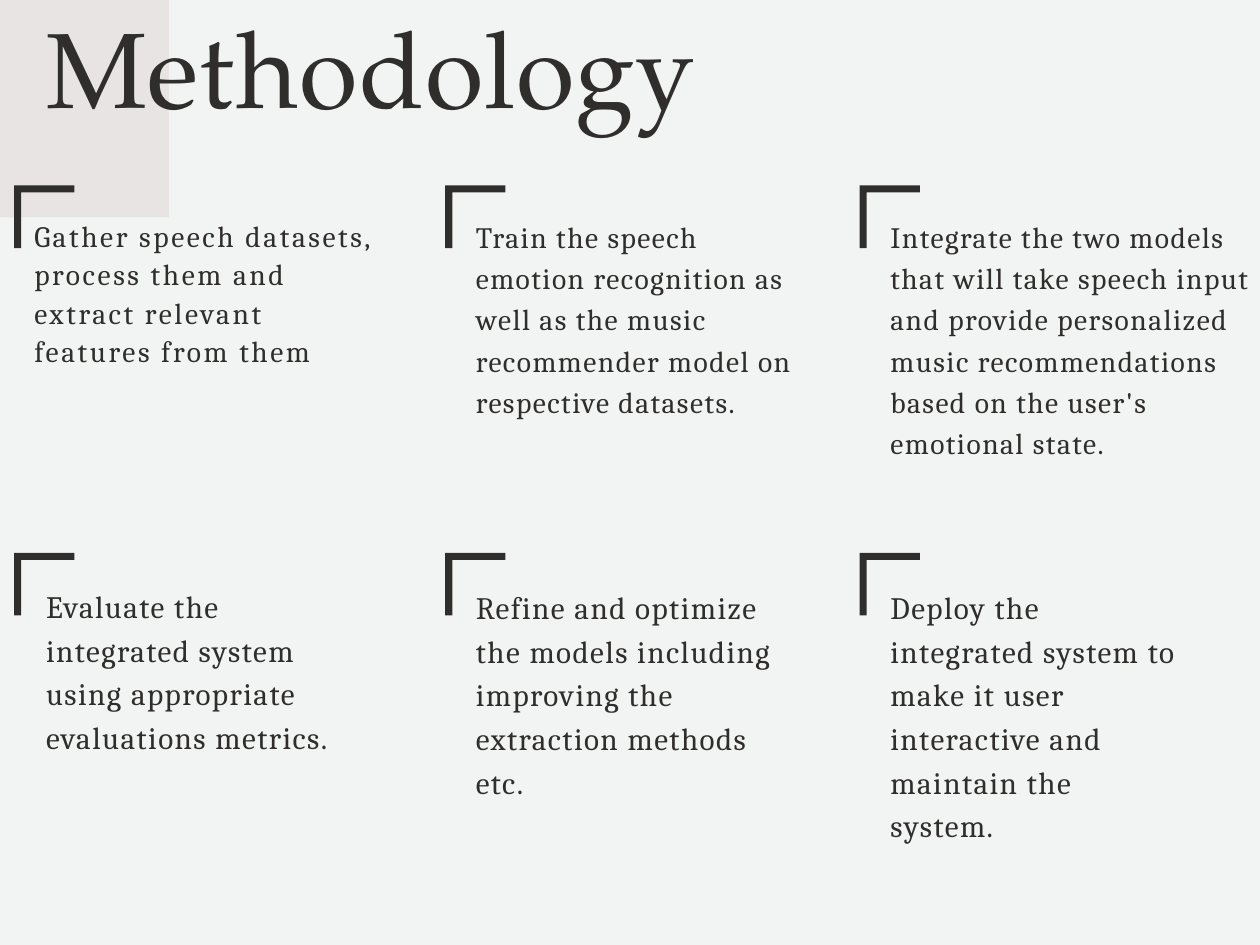
from lxml.etree import SubElement
from pptx import Presentation
from pptx.dml.color import RGBColor
from pptx.enum.shapes import MSO_SHAPE
from pptx.oxml.ns import qn
from pptx.util import Inches, Pt

INK, PAPER, BLUSH = "302E2C", "F2F4F3", "BEA8A7"
TITLE_FONT, BODY_FONT = "TeX Gyre Pagella", "Cambria"

# Bracket grid
COLUMNS = [0.12, 3.77, 7.28]
ROWS = [1.57, 4.68]
ARM_W, ARM_H, THICK = 0.51, 0.53, 0.06

# Steps in grid order: text, (left, top, width, height), size, line spacing, letter spacing
STEPS = [
    ("Gather speech datasets, process them and extract relevant features from them",
     (0.29, 1.82, 2.88, 1.61), 18, 23.4, 1.6),
    ("Train the speech emotion recognition as well as the music recommender model "
     "on respective datasets.",
     (4.03, 1.8, 2.73, 2.05), 18, 25.2, 0.9),
    ("Integrate the two models that will take speech input and provide personalized "
     "music recommendations based on the user's emotional state.",
     (7.54, 1.8, 3.13, 2.74), 18, 25.2, 0.9),
    ("Evaluate the integrated system using appropriate evaluations metrics.",
     (0.39, 4.92, 2.43, 2.18), 19, 26.6, 0.9),
    ("Refine and optimize the models including improving the extraction methods etc.",
     (4.03, 4.93, 2.6, 2.17), 19, 26.6, 0.9),
    ("Deploy the integrated system to make it user interactive and maintain the system.",
     (7.54, 4.93, 2.48, 2.17), 19, 26.6, 0.9),
]


def rgb(value):
    return RGBColor.from_string(value)


def paint(shape, color):
    """Flat fill without line or shadow."""
    shape.shadow.inherit = False
    shape.fill.solid()
    shape.fill.fore_color.rgb = rgb(color)
    shape.line.fill.background()


def add_text(s, text, box, font, size, leading, tracking):
    tf = s.shapes.add_textbox(*map(Inches, box)).text_frame
    tf.word_wrap = True
    tf.margin_left = tf.margin_top = tf.margin_right = tf.margin_bottom = 0
    p = tf.paragraphs[0]
    p.line_spacing = Pt(leading)
    p.font.name, p.font.size = font, Pt(size)
    p.font.color.rgb = rgb(INK)
    r = p.add_run()
    r.text = text
    r.font._element.set("spc", str(round(tracking * 100)))


def add_bracket(s, x, y):
    """L-shaped corner mark with its outer corner at x, y."""
    corners = [(0, 0), (0, ARM_H), (THICK, ARM_H), (THICK, THICK), (ARM_W, THICK), (ARM_W, 0)]
    points = [(Inches(x + dx), Inches(y + dy)) for dx, dy in corners]
    builder = s.shapes.build_freeform(*points[0])
    builder.add_line_segments(points[1:], close=True)
    paint(builder.convert_to_shape(), INK)


def main():
    prs = Presentation()
    prs.slide_width, prs.slide_height = Inches(10.67), Inches(8)
    s = prs.slides.add_slide(prs.slide_layouts[6])
    s.background.fill.solid()
    s.background.fill.fore_color.rgb = rgb(PAPER)

    block = s.shapes.add_shape(
        MSO_SHAPE.RECTANGLE, *map(Inches, (-0.17, -0.15, 1.6, 1.99)))
    paint(block, BLUSH)
    color = block._element.spPr.find(qn("a:solidFill"))[0]
    SubElement(color, qn("a:alpha"), val="20000")

    add_text(s, "Methodology", (0.39, -0.13, 9.22, 1.21), TITLE_FONT, 65, 88.4, 0.6)

    for i, (text, box, size, leading, tracking) in enumerate(STEPS):
        row, col = divmod(i, len(COLUMNS))
        add_bracket(s, COLUMNS[col], ROWS[row])
        add_text(s, text, box, BODY_FONT, size, leading, tracking)

    prs.save("out.pptx")


if __name__ == "__main__":
    main()
